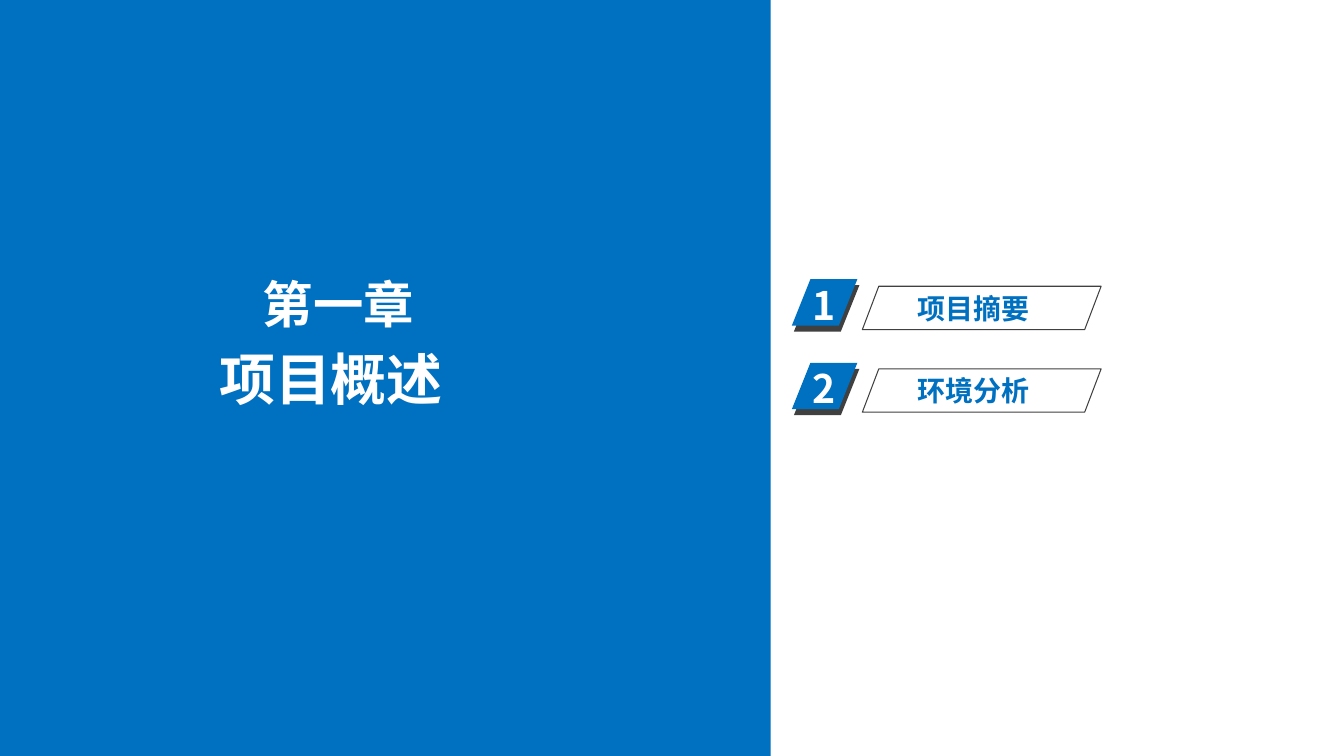
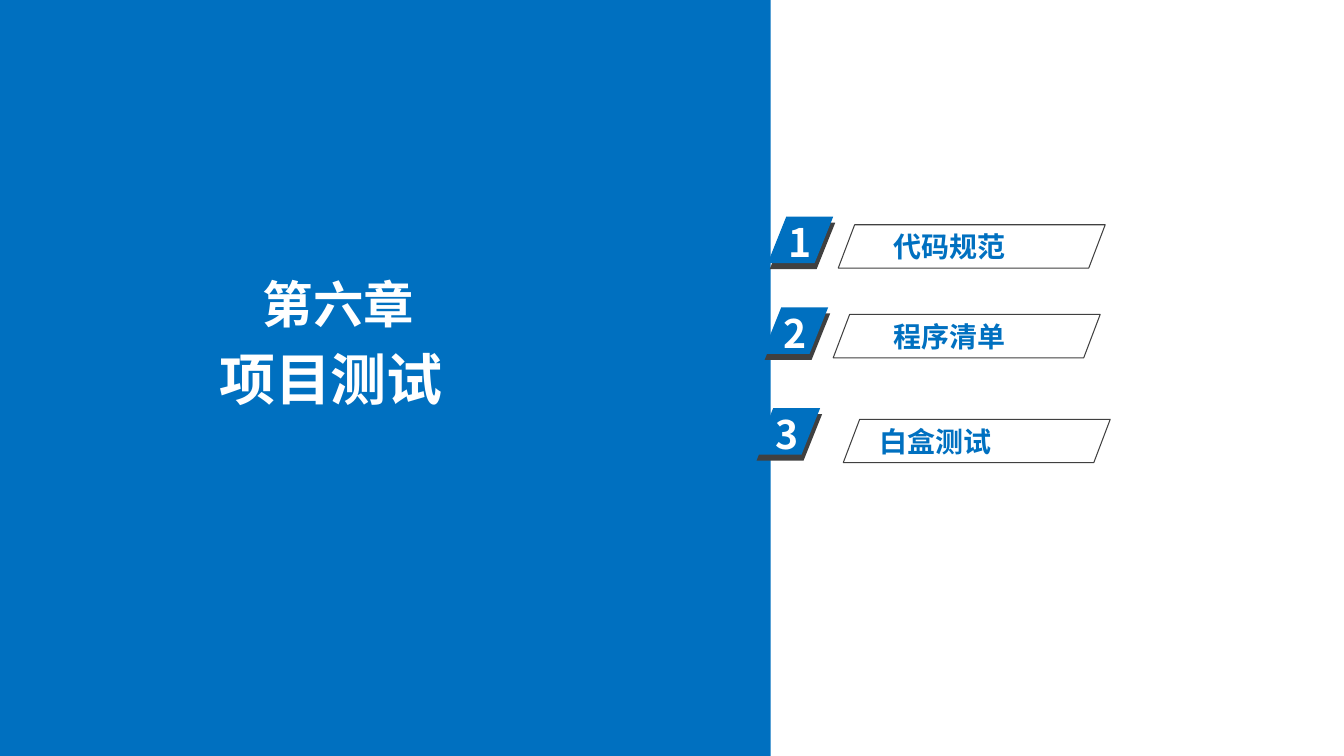
from dataclasses import dataclass

from lxml import etree
from pptx import Presentation
from pptx.dml.color import RGBColor
from pptx.enum import shapes, text
from pptx.oxml import ns
from pptx.util import Inches, Pt


@dataclass(frozen=True)
class Theme:
    """Colours, type sizes and font shared by the slides."""
    blue: RGBColor = RGBColor(0x00, 0x70, 0xC0)
    dark: RGBColor = RGBColor(0x40, 0x40, 0x40)
    white: RGBColor = RGBColor(0xFF, 0xFF, 0xFF)
    font: str = "Noto Sans CJK SC"
    title: int = 40
    chapter: int = 36
    number: int = 28
    label: int = 20


@dataclass(frozen=True)
class Entry:
    """Wording of one agenda entry and the places of its parts."""
    label: str
    badge: tuple
    bar: tuple
    label_left: float


THEME = Theme()
PANEL_WIDTH, PAGE_WIDTH, PAGE_HEIGHT = 7.65, 13.34, 7.5
BADGE_SIZE = (0.65, 0.46)
BAR_HEIGHT = 0.43

CHAPTERS = [
    ("第一章", "项目概述", 2.37, [
        Entry("项目摘要", (7.86, 2.77), (8.56, 2.84), 9.01),
        Entry("环境分析", (7.86, 3.6), (8.56, 3.66), 9.01),
    ]),
    ("第六章", "项目测试", 2.65, [
        Entry("代码规范", (7.62, 2.15), (8.32, 2.23), 8.77),
        Entry("程序清单", (7.57, 3.05), (8.27, 3.12), 8.77),
        Entry("白盒测试", (7.49, 4.05), (8.37, 4.16), 8.63),
    ]),
]


def write(box, wording, size, color, align=text.PP_ALIGN.LEFT):
    """Put one bold line of text in a box."""
    frame = box.text_frame
    frame_format = {
        "word_wrap": True, "auto_size": text.MSO_AUTO_SIZE.NONE,
        "vertical_anchor": text.MSO_ANCHOR.TOP,
        "margin_left": Inches(0.1), "margin_right": Inches(0.1),
        "margin_top": Inches(0.05), "margin_bottom": Inches(0.05),
    }
    for name, value in frame_format.items():
        setattr(frame, name, value)
    para = frame.paragraphs[0]
    para.alignment = align
    span = para.add_run()
    span.text = wording
    for name, value in {"size": Pt(size), "bold": True, "name": THEME.font}.items():
        setattr(span.font, name, value)
    span.font.color.rgb = color
    latin = span.font._element.find(ns.qn("a:latin"))
    east_asian = etree.Element(ns.qn("a:ea"), typeface=THEME.font)
    latin.addnext(east_asian)


def add_text(parent, bounds, wording, size, color):
    """Add a text box at the bounds given in inches."""
    box = parent.shapes.add_textbox(*map(Inches, bounds))
    write(box, wording, size, color)


def add_form(parent, kind, bounds, fill=None, line=None, slant=None):
    """Add a plain preset shape at the bounds given in inches."""
    form = parent.shapes.add_shape(kind, *map(Inches, bounds))
    form.shadow.inherit = False
    if slant is not None:
        form.adjustments[0] = slant
    if fill is None:
        form.fill.background()
    else:
        form.fill.solid()
        form.fill.fore_color.rgb = fill
    if line is None:
        form.line.fill.background()
    else:
        form.line.color.rgb = line
        form.line.width = Pt(0.75)
    return form


def add_panel(page, chapter, heading):
    """Draw the blue panel with the chapter number and the title."""
    panel = add_form(page, shapes.MSO_SHAPE.RECTANGLE,
                     (0, 0, PANEL_WIDTH, PAGE_HEIGHT), fill=THEME.blue)
    title = page.shapes.title
    title.element.addprevious(panel.element)
    bounds = {"left": 1.4, "top": 3.37, "width": 3.77, "height": 0.77}
    for name, value in bounds.items():
        setattr(title, name, Inches(value))
    write(title, heading, THEME.title, THEME.white, text.PP_ALIGN.CENTER)
    add_text(page, (2.51, 2.66, 1.81, 0.7), chapter, THEME.chapter, THEME.white)


def add_badge(page, left, top, number):
    """Draw a numbered badge with its offset dark backing."""
    badge = page.shapes.add_group_shape()
    for offset_x, offset_y, color in ((0.02, 0.06, THEME.dark), (0, 0, THEME.blue)):
        add_form(badge, shapes.MSO_SHAPE.PARALLELOGRAM,
                 (left + offset_x, top + offset_y, *BADGE_SIZE), fill=color, slant=0.4)
    add_text(badge, (left + 0.11, top - 0.03, 0.69, 0.57),
             str(number), THEME.number, THEME.white)


def add_entry(page, entry, number, bar_width):
    """Draw one agenda entry: badge, outlined bar and label."""
    add_badge(page, *entry.badge, number)
    add_form(page, shapes.MSO_SHAPE.PARALLELOGRAM,
             (*entry.bar, bar_width, BAR_HEIGHT), line=THEME.dark, slant=0.38)
    add_text(page, (entry.label_left, entry.bar[1], 3.03, 0.44),
             entry.label, THEME.label, THEME.blue)


def add_chapter_page(deck, chapter, heading, bar_width, entries):
    """Add a chapter opener with its agenda."""
    page = deck.slides.add_slide(deck.slide_layouts.get_by_name("Title Only"))
    add_panel(page, chapter, heading)
    for number, entry in enumerate(entries, start=1):
        add_entry(page, entry, number, bar_width)


def main():
    """Build the deck and save it."""
    deck = Presentation()
    deck.slide_width, deck.slide_height = Inches(PAGE_WIDTH), Inches(PAGE_HEIGHT)
    for chapter in CHAPTERS:
        add_chapter_page(deck, *chapter)
    deck.save("out.pptx")


if __name__ == "__main__":
    main()
